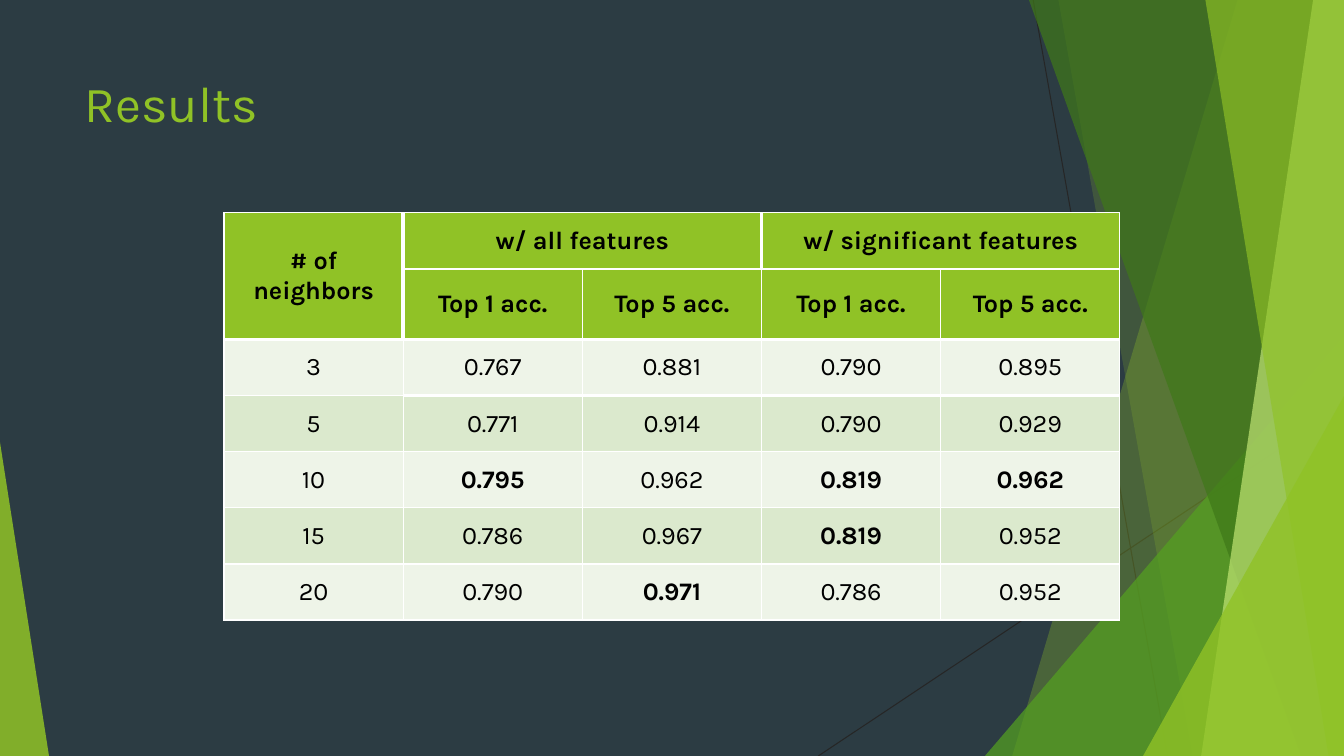
from dataclasses import dataclass
from lxml import etree
from pptx import Presentation
from pptx.dml.color import RGBColor
from pptx.enum.shapes import MSO_CONNECTOR, MSO_SHAPE
from pptx.enum.text import MSO_ANCHOR, PP_ALIGN
from pptx.oxml.ns import qn
from pptx.util import Pt


@dataclass(frozen=True)
class Theme:
    font: str = "Karla"
    title_size: int = 36
    table_size: int = 18
    background: str = "2C3C43"
    lime: str = "90C226"
    green: str = "54A021"
    forest: str = "3F7819"
    pale: str = "C0E474"
    hairline: str = "262626"
    text: str = "000000"
    border: str = "FFFFFF"
    bands: tuple = ("EEF4E8", "DBE9CD")


theme = Theme()
W, H = 960, 540


def paint(sp, color, opacity):
    """Give a shape a translucent fill, no outline and no shadow."""
    sp.shadow.inherit = False
    sp.line.fill.background()
    sp.fill.solid()
    sp.fill.fore_color.rgb = RGBColor.from_string(color)
    clr = sp.fill._xPr.find(qn("a:solidFill"))[0]
    etree.SubElement(clr, qn("a:alpha")).set("val", str(opacity * 1000))


def add_run(p, text, size, color, bold=False):
    """Add one formatted run to a paragraph."""
    r = p.add_run()
    r.text = text
    r.font.name = theme.font
    r.font.size = Pt(size)
    r.font.bold = bold
    r.font.color.rgb = RGBColor.from_string(color)


prs = Presentation()
prs.slide_width, prs.slide_height = Pt(W), Pt(H)
s = prs.slides.add_slide(prs.slide_layouts[6])
s.background.fill.solid()
s.background.fill.fore_color.rgb = RGBColor.from_string(theme.background)

# Thin lines behind the facets
for x1, y1, x2, y2 in [(738, 0, 834, H), (W, 290, 584.5, H)]:
    line = s.shapes.add_connector(MSO_CONNECTOR.STRAIGHT, Pt(x1), Pt(y1), Pt(x2), Pt(y2))
    line.line.width = Pt(0.75)
    line.line.color.rgb = RGBColor.from_string(theme.hairline)
    etree.SubElement(line._element.spPr, qn("a:effectLst"))

# Facets: a band is (top x, bottom x) up to the right edge,
# a triangle is (left, top, width, apex) down to the bottom edge
facets = [
    ((884, 723), theme.lime, 30),
    ((756, 852), theme.lime, 20),
    ((703.5, 240, 256.5, 1), theme.green, 72),
    ((735, 929.5), theme.forest, 70),
    ((938, 858), theme.pale, 70),
    ((861, 949), theme.lime, 65),
    ((816.5, 283, 143.5, 1), theme.lime, 80),
    ((0, 316, 35, 0), theme.lime, 85),
]
for geometry, color, opacity in facets:
    if len(geometry) == 2:
        top_x, bottom_x = geometry
        fb = s.shapes.build_freeform(Pt(top_x), Pt(0))
        fb.add_line_segments([(Pt(W), Pt(0)), (Pt(W), Pt(H)), (Pt(bottom_x), Pt(H))])
        sp = fb.convert_to_shape()
    else:
        left, top, width, apex = geometry
        sp = s.shapes.add_shape(MSO_SHAPE.ISOSCELES_TRIANGLE,
                                Pt(left), Pt(top), Pt(width), Pt(H - top))
        sp.adjustments[0] = apex
    paint(sp, color, opacity)

# Title
title = s.shapes.add_textbox(Pt(53.5), Pt(48), Pt(677), Pt(104))
tf = title.text_frame
tf.word_wrap = True
tf.vertical_anchor = MSO_ANCHOR.TOP
add_run(tf.paragraphs[0], "Results", theme.title_size, theme.lime)

# Results table
rows = [
    ["# of neighbors", "w/ all features", "", "w/ significant features", ""],
    ["", "Top 1 acc.", "Top 5 acc.", "Top 1 acc.", "Top 5 acc."],
    ["3", "0.767", "0.881", "0.790", "0.895"],
    ["5", "0.771", "0.914", "0.790", "0.929"],
    ["10", "0.795", "0.962", "0.819", "0.962"],
    ["15", "0.786", "0.967", "0.819", "0.952"],
    ["20", "0.790", "0.971", "0.786", "0.952"],
]
HEADER_ROWS = 2
best = {(4, 1), (4, 3), (4, 4), (5, 3), (6, 2)}
# Heavy rules, keyed by (row, column) of the cell below or to the right
heavy_top = {(2, c) for c in range(5)} | {(3, c) for c in range(1, 5)}
heavy_left = {(0, 1), (1, 1), (0, 3)}

frame = s.shapes.add_table(len(rows), len(rows[0]), Pt(160), Pt(152), Pt(640), Pt(280.7))
table = frame.table
table.first_row = table.horz_banding = False
for column in table.columns:
    column.width = Pt(128)
for row in table.rows:
    row.height = Pt(40.1)
for first, last in [((0, 0), (1, 0)), ((0, 1), (0, 2)), ((0, 3), (0, 4))]:
    table.cell(*first).merge(table.cell(*last))

for i, values in enumerate(rows):
    for j, value in enumerate(values):
        cell = table.cell(i, j)
        header = i < HEADER_ROWS
        cell.vertical_anchor = MSO_ANCHOR.MIDDLE
        if value:
            p = cell.text_frame.paragraphs[0]
            p.alignment = PP_ALIGN.CENTER
            add_run(p, value, theme.table_size, theme.text, header or (i, j) in best)
        # Borders precede the fill in the cell properties
        tcPr = cell._tc.get_or_add_tcPr()
        edges = {
            "a:lnL": (i, j) in heavy_left,
            "a:lnR": (i, j + 1) in heavy_left,
            "a:lnT": (i, j) in heavy_top,
            "a:lnB": (i + 1, j) in heavy_top or (i, j) == (0, 0),
        }
        for tag, heavy in edges.items():
            ln = etree.SubElement(tcPr, qn(tag), w=str(Pt(3 if heavy else 1)))
            solid = etree.SubElement(ln, qn("a:solidFill"))
            etree.SubElement(solid, qn("a:srgbClr"), val=theme.border)
        cell.fill.solid()
        fill = theme.lime if header else theme.bands[(i - HEADER_ROWS) % 2]
        cell.fill.fore_color.rgb = RGBColor.from_string(fill)

prs.save("out.pptx")
